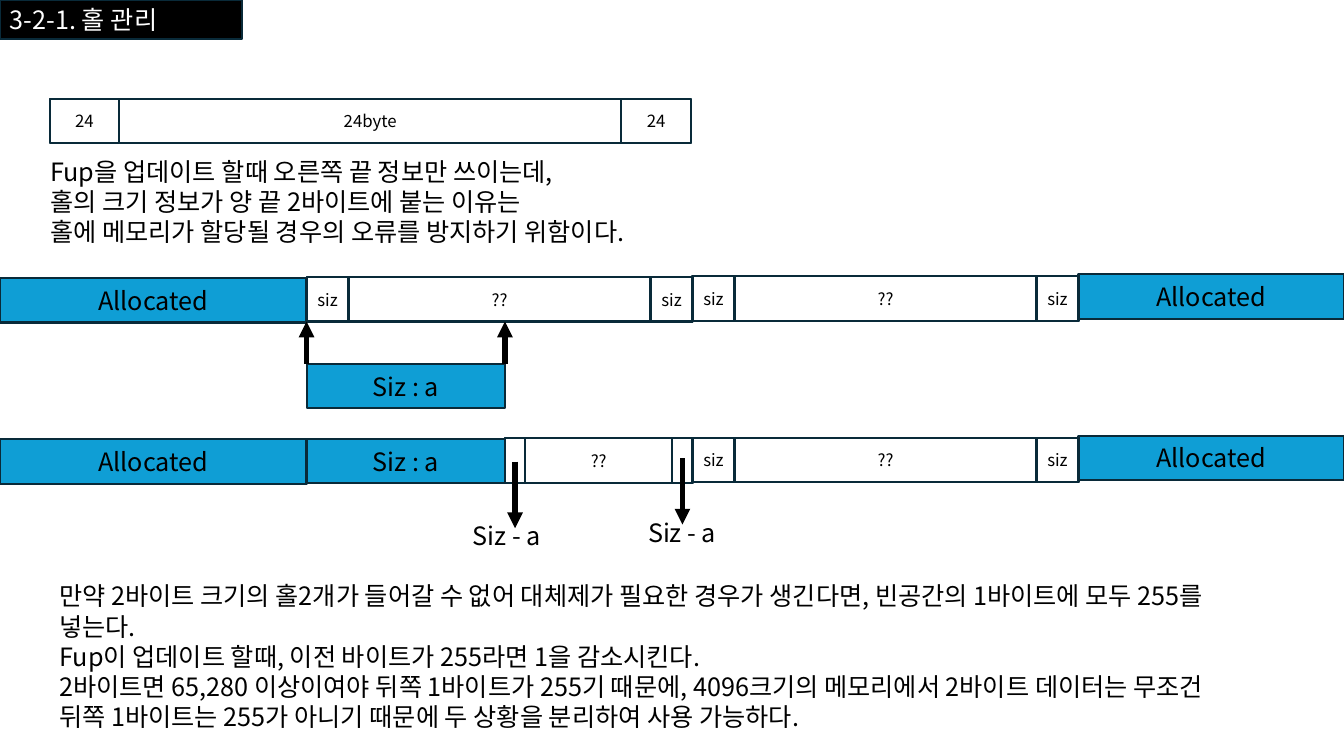
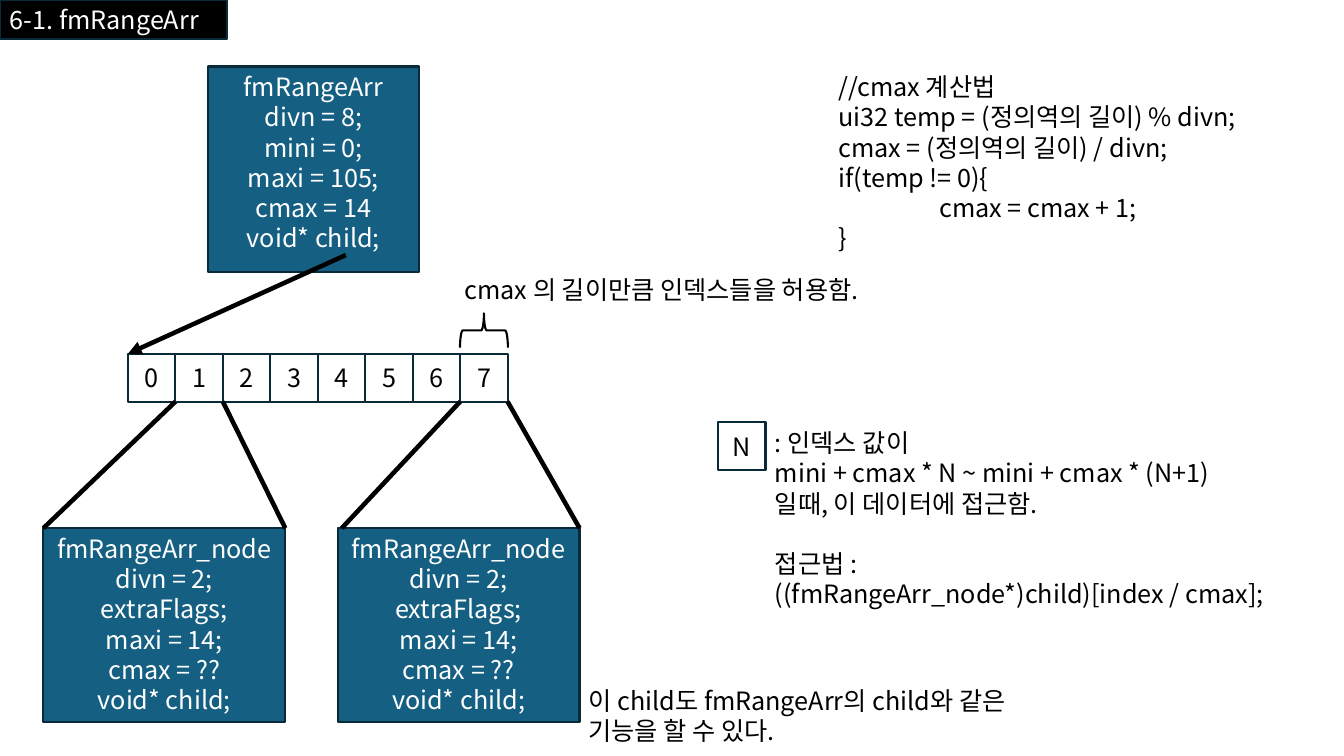
from dataclasses import dataclass

from lxml import etree
from pptx import Presentation
from pptx.dml.color import RGBColor
from pptx.enum.shapes import MSO_CONNECTOR, MSO_SHAPE
from pptx.enum.text import MSO_ANCHOR, PP_ALIGN
from pptx.oxml.ns import qn
from pptx.util import Pt

RECT, BRACE = MSO_SHAPE.RECTANGLE, MSO_SHAPE.RIGHT_BRACE
STRAIGHT = MSO_CONNECTOR.STRAIGHT
LEFT, CENTER = PP_ALIGN.LEFT, PP_ALIGN.CENTER
TOP, MIDDLE = MSO_ANCHOR.TOP, MSO_ANCHOR.MIDDLE


@dataclass(frozen=True)
class Theme:
    font: str = "Noto Sans CJK KR"
    body: float = 18
    small: float = 12
    leading: float = 21.6
    outline: float = 1.5
    black: RGBColor = RGBColor(0x00, 0x00, 0x00)
    white: RGBColor = RGBColor(0xFF, 0xFF, 0xFF)
    edge: RGBColor = RGBColor(0x09, 0x2A, 0x39)
    used: RGBColor = RGBColor(0x0F, 0x9E, 0xD5)
    node: RGBColor = RGBColor(0x15, 0x60, 0x82)


T = Theme()
BAR_H = 31.7


# Shared parts
def write(sp, lines, size=T.body, color=T.black, align=LEFT, anchor=TOP, leading=None, gaps=()):
    """Fill sp with one paragraph per line; gaps lists lines with a line's space before."""
    tf = sp.text_frame
    tf.word_wrap = True
    tf.vertical_anchor = anchor
    for i, line in enumerate(lines):
        p = tf.paragraphs[0] if i == 0 else tf.add_paragraph()
        p.alignment = align
        if leading:
            p.line_spacing = Pt(leading)
        if i in gaps:
            p.space_before = Pt(T.leading)
        r = p.add_run()
        r.text = line
        r.font.size = Pt(size)
        r.font.name = T.font
        r.font.color.rgb = color
        etree.SubElement(r.font._element, qn("a:ea")).set("typeface", T.font)


def box(shapes, x, y, w, h, fill, lines=(), **style):
    sp = shapes.add_shape(RECT, Pt(x), Pt(y), Pt(w), Pt(h))
    sp.shadow.inherit = False
    sp.fill.solid()
    sp.fill.fore_color.rgb = fill
    sp.line.color.rgb = T.edge
    sp.line.width = Pt(T.outline)
    write(sp, lines, **{"align": CENTER, "anchor": MIDDLE, **style})


def text(slide, x, y, w, h, lines, gaps=()):
    sp = slide.shapes.add_textbox(Pt(x), Pt(y), Pt(w), Pt(h))
    write(sp, lines, leading=T.leading, gaps=gaps)


def line(slide, x1, y1, x2, y2, width, arrow=False):
    cxn = slide.shapes.add_connector(STRAIGHT, Pt(x1), Pt(y1), Pt(x2), Pt(y2))
    cxn.line.color.rgb = T.black
    cxn.line.width = Pt(width)
    if arrow:
        etree.SubElement(cxn.line._get_or_add_ln(), qn("a:tailEnd")).set("type", "triangle")
    etree.SubElement(cxn._element.spPr, qn("a:effectLst"))


def new_slide(prs, title, title_w):
    slide = prs.slides.add_slide(prs.slide_layouts[6])
    box(slide.shapes, 0, 0, title_w, 28, T.black, [title], color=T.white, align=LEFT)
    return slide


# Memory hole slide
def hole(slide, x, y, w, tag_w, label, tag=None):
    """A free block with a size tag at both ends."""
    shapes = slide.shapes.add_group_shape().shapes
    box(shapes, x, y, w, BAR_H, T.white, [label], size=T.small)
    for tag_x in (x + w - tag_w, x):
        box(shapes, tag_x, y, tag_w, BAR_H, T.white, [tag] if tag else [], size=T.small)


def memory_row(slide, y, start, middle, end):
    """Allocated blocks at both slide edges and the free block right of middle."""
    box(slide.shapes, 0, y + 0.7, start, BAR_H, T.used, ["Allocated"])
    box(slide.shapes, end, y - 2, 960 - end, BAR_H, T.used, ["Allocated"])
    hole(slide, middle, y - 0.6, end - middle, 30, "??", "siz")


def hole_slide(prs):
    slide = new_slide(prs, "3-2-1. 홀 관리", 172.8)
    start, split, middle, end = 219, 360.7, 494.7, 770.4
    before, after, request = 198, 313.2, 260
    new_w, small_tag = split - start, 14.4

    # Block layout
    hole(slide, 35.5, 70.8, 458, 49.7, "24byte", "24")
    text(slide, 28.8, 108, 846, 72.7, [
        "Fup을 업데이트 할때 오른쪽 끝 정보만 쓰이는데,",
        "홀의 크기 정보가 양 끝 2바이트에 붙는 이유는",
        "홀에 메모리가 할당될 경우의 오류를 방지하기 위함이다.",
    ])

    # Before: a request of size a fits the left hole
    memory_row(slide, before, start, middle, end)
    hole(slide, start, before, middle - start, 30, "??", "siz")
    box(slide.shapes, start, request, new_w, BAR_H, T.used, ["Siz : a"])
    for x in (start, split):
        line(slide, x, request, x, before + BAR_H, 3.75, arrow=True)

    # After: the left hole has shrunk
    memory_row(slide, after, start, middle, end)
    hole(slide, split, after, middle - split, small_tag, "??")
    box(slide.shapes, start, after + 0.3, new_w, BAR_H, T.used, ["Siz : a"])
    for x, y, label_x in ((split + small_tag / 2, 329.8, 330.5),
                          (middle - small_tag / 2, 327.2, 455.8)):
        line(slide, x, y, x, y + 47.5, 3.75, arrow=True)
        text(slide, label_x, y + 38.4, 75, 29, ["Siz - a"])

    # Exception note
    text(slide, 35.3, 411.2, 846, 116.6, [
        "만약 2바이트 크기의 홀2개가 들어갈 수 없어 대체제가 필요한 경우가 생긴다면, "
        "빈공간의 1바이트에 모두 255를 넣는다.",
        "Fup이 업데이트 할때, 이전 바이트가 255라면 1을 감소시킨다.",
        "2바이트면 65,280 이상이여야 뒤쪽 1바이트가 255기 때문에, 4096크기의 메모리에서 "
        "2바이트 데이터는 무조건 뒤쪽 1바이트는 255가 아니기 때문에 두 상황을 분리하여 사용 가능하다.",
    ])


# Range array slide
def struct(slide, x, y, w, h, lines):
    box(slide.shapes, x, y, w, h, T.node, lines, color=T.white, anchor=TOP, leading=T.leading)


def range_slide(prs):
    slide = new_slide(prs, "6-1. fmRangeArr", 162)
    cell, step, array_x, array_y = 34.2, 33.9, 91.4, 252.7
    array_bottom = array_y + cell

    # Root and its child array
    struct(slide, 148.3, 47.5, 151.2, 146.9, [
        "fmRangeArr", "divn = 8;", "mini = 0;", "maxi = 105;", "cmax = 14", "void* child;"])
    for i in range(8):
        box(slide.shapes, array_x + i * step, array_y, cell, cell, T.white, [str(i)])
    line(slide, 247, 182.2, array_x, array_y, 3.25, arrow=True)

    # Nodes opened out of cells 1 and 7
    node_y, node_w = 377.3, 172.8
    for x, index, left_inset in ((31, 1, 0), (241.2, 7, 2.9)):
        struct(slide, x, node_y, node_w, 138.2, [
            "fmRangeArr_node", "divn = 2;", "extraFlags;", "maxi = 14;", "cmax = ??", "void* child;"])
        cell_x = array_x + index * step
        line(slide, x + left_inset, node_y, cell_x, array_bottom, 3.25)
        line(slide, x + node_w, node_y, cell_x + step, array_bottom, 3.25)

    # Brace over the last cell
    sp = slide.shapes.add_shape(BRACE, Pt(333.4), Pt(218.9), Pt(24.5), Pt(cell))
    sp.rotation = 270
    sp.shadow.inherit = False
    sp.fill.background()
    sp.line.color.rgb = T.black
    sp.line.width = Pt(T.outline)
    text(slide, 324.7, 192.2, 322.6, 29, ["cmax 의 길이만큼 인덱스들을 허용함."])

    # Code and legend
    text(slide, 591.8, 47.5, 322.6, 138.2, [
        "//cmax 계산법",
        "ui32 temp = (정의역의 길이) % divn;",
        "cmax = (정의역의 길이) / divn;",
        "if(temp != 0){",
        "\t\tcmax = cmax + 1;",
        "}",
    ])
    box(slide.shapes, 512.6, 301.7, cell, cell, T.white, ["N"])
    text(slide, 546.5, 301.7, 368, 138.2, [
        ": 인덱스 값이",
        "mini + cmax * N ~ mini + cmax * (N+1)",
        "일때, 이 데이터에 접근함.",
        "접근법 :",
        "((fmRangeArr_node*)child)[index / cmax];",
    ], gaps=(3,))
    text(slide, 413.3, 486, 322.6, 51.1, ["이 child도 fmRangeArr의 child와 같은 기능을 할 수 있다."])


def main():
    prs = Presentation()
    prs.slide_width, prs.slide_height = Pt(960), Pt(540)
    hole_slide(prs)
    range_slide(prs)
    prs.save("out.pptx")


if __name__ == "__main__":
    main()
